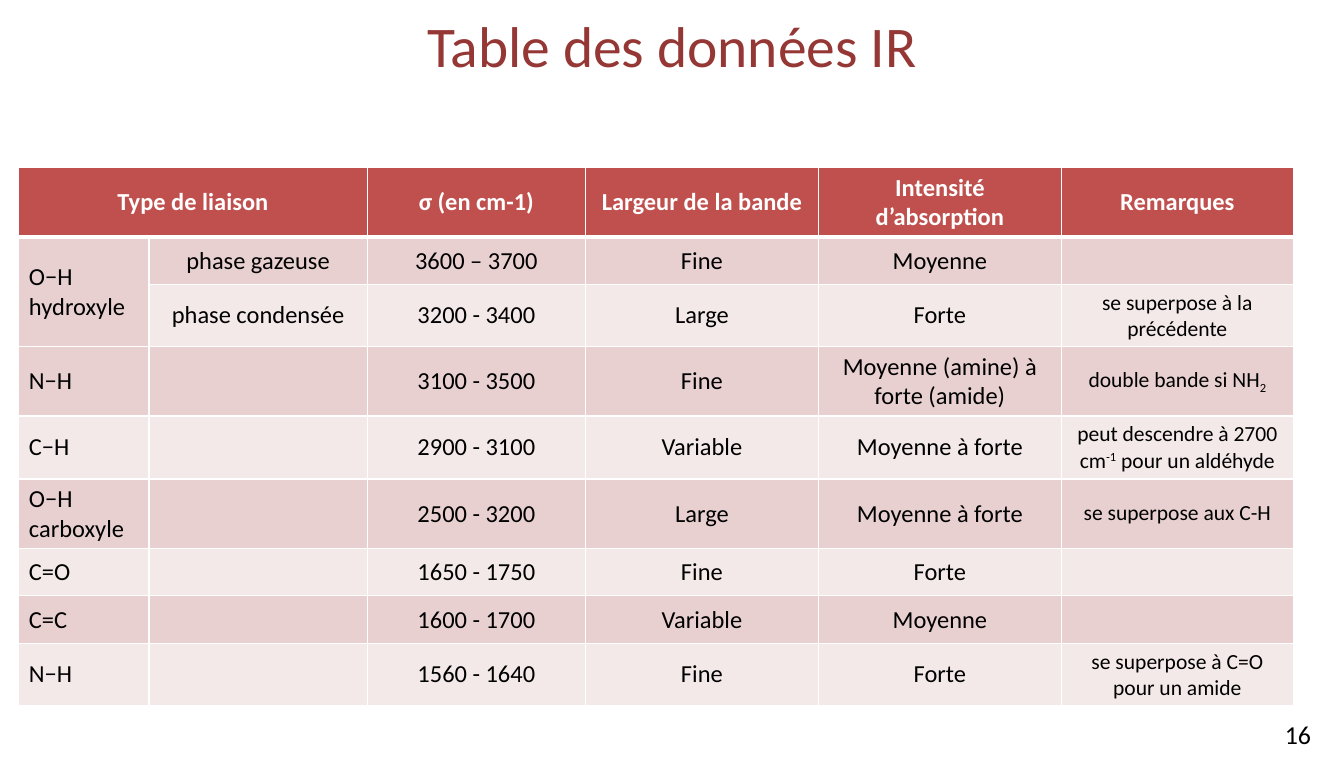
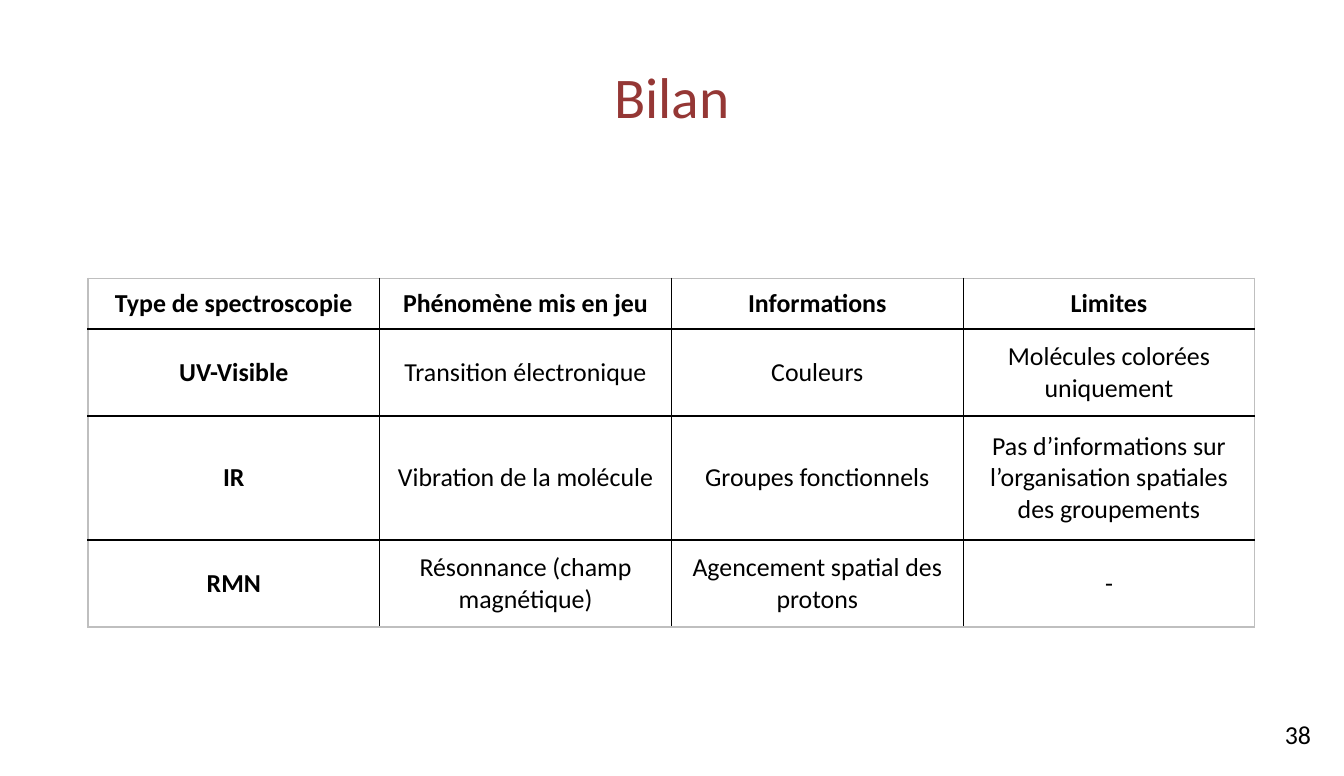
from pptx import Presentation
from pptx import util as u
from pptx.dml.color import RGBColor
from pptx.enum import text
from pptx.oxml.ns import qn
from lxml import etree

WIDTH, HEIGHT = u.Inches(12.99), u.Inches(7.5)
FONT = "Calibri"
TITLE_RED = RGBColor(0x95, 0x37, 0x35)
HEADER_RED = RGBColor(0xC0, 0x50, 0x4D)
BAND_DARK = RGBColor(0xE8, 0xD0, 0xD0)
BAND_LIGHT = RGBColor(0xF4, 0xE9, 0xE9)
WHITE = RGBColor(0xFF, 0xFF, 0xFF)
BLACK = RGBColor(0, 0, 0)
FRAME_GREY = RGBColor(0xBF, 0xBF, 0xBF)
LEFT, CENTER = text.PP_ALIGN.LEFT, text.PP_ALIGN.CENTER
BASELINES = {"_": "-25000", "^": "30000"}


def write(frame, content, size=18, color=BLACK, bold=False, align=CENTER):
    for index, line in enumerate(content.split("\n")):
        paragraph = frame.add_paragraph() if index else frame.paragraphs[0]
        paragraph.alignment = align
        for part in line.split("|"):
            run = paragraph.add_run()
            run.text = part.lstrip("_^")
            run.font.name, run.font.size, run.font.bold = FONT, u.Pt(size), bold
            run.font.color.rgb = color
            if part[:1] in BASELINES:
                run.font._element.set("baseline", BASELINES[part[0]])


def draw_border(cell, side, color, points):
    line = etree.SubElement(cell._tc.get_or_add_tcPr(), qn(f"a:ln{side}"), w=str(u.Pt(points)))
    solid = etree.SubElement(line, qn("a:solidFill"))
    etree.SubElement(solid, qn("a:srgbClr"), val=str(color))


infrared = [
    ["Type de liaison", "", "σ (en cm-1)", "Largeur de la bande", "Intensité d’absorption", "Remarques"],
    ["O−H\nhydroxyle", "phase gazeuse", "3600 – 3700", "Fine", "Moyenne", ""],
    ["", "phase condensée", "3200 - 3400", "Large", "Forte", "se superpose à la précédente"],
    ["N−H", "", "3100 - 3500", "Fine", "Moyenne (amine) à forte (amide)", "double bande si NH|_2"],
    ["C−H", "", "2900 - 3100", "Variable", "Moyenne à forte",
     "peut descendre à 2700 cm|^-1| pour un aldéhyde"],
    ["O−H\ncarboxyle", "", "2500 - 3200", "Large", "Moyenne à forte", "se superpose aux C-H"],
    ["C=O", "", "1650 - 1750", "Fine", "Forte", ""],
    ["C=C", "", "1600 - 1700", "Variable", "Moyenne", ""],
    ["N−H", "", "1560 - 1640", "Fine", "Forte", "se superpose à C=O pour un amide"],
]
summary = [
    ["Type de spectroscopie", "Phénomène mis en jeu", "Informations", "Limites"],
    ["UV-Visible", "Transition électronique", "Couleurs", "Molécules colorées uniquement"],
    ["IR", "Vibration de la molécule", "Groupes fonctionnels",
     "Pas d’informations sur l’organisation spatiales des groupements"],
    ["RMN", "Résonnance (champ magnétique)", "Agencement spatial des protons", "-"],
]

pages = [
    dict(number="16", title="Table des données IR", title_box=(0, -0.03, 12.99, 0.93),
         entries=infrared, corner=(0.18, 1.62), columns=[1.26, 2.11, 2.11, 2.25, 2.35, 2.24],
         rows=[0.67, 0.46, 0.6, 0.67, 0.61, 0.67, 0.46, 0.46, 0.6],
         merges=[(0, 0, 0, 1), (1, 0, 2, 0)], size=17, note_size=15, banded=True,
         label_align=LEFT, header_color=WHITE, inner=WHITE, outer=WHITE, header_rule=3),
    dict(number="38", title="Bilan", title_box=(0.65, 0.3, 11.69, 1.25),
         entries=summary, corner=(0.85, 2.69), columns=[2.82] * 4,
         rows=[0.49, 0.84, 1.2, 0.84],
         merges=[], size=18, note_size=18, banded=False,
         label_align=CENTER, header_color=BLACK, inner=BLACK, outer=FRAME_GREY, header_rule=1.5),
]

deck = Presentation()
deck.slide_width, deck.slide_height = WIDTH, HEIGHT

for page in pages:
    slide = deck.slides.add_slide(deck.slide_layouts[5])

    number = slide.shapes.add_textbox(*map(u.Inches, (12.32, 6.9, 0.5, 0.4))).text_frame
    number.word_wrap = False
    write(number, page["number"], align=LEFT)

    title = slide.shapes.title
    title.left, title.top, title.width, title.height = map(u.Inches, page["title_box"])
    title.text_frame.vertical_anchor = text.MSO_ANCHOR.MIDDLE
    write(title.text_frame, page["title"], size=40, color=TITLE_RED)

    columns, rows = page["columns"], page["rows"]
    table = slide.shapes.add_table(
        len(rows), len(columns),
        *map(u.Inches, (*page["corner"], sum(columns), sum(rows)))).table
    table.first_row = table.horz_banding = False
    for column, width in zip(table.columns, columns):
        column.width = u.Inches(width)
    for row, height in zip(table.rows, rows):
        row.height = u.Inches(height)
    for top, left, bottom, right in page["merges"]:
        table.cell(top, left).merge(table.cell(bottom, right))

    last_row, last_column = len(rows) - 1, len(columns) - 1
    for r, entries in enumerate(page["entries"]):
        for c, entry in enumerate(entries):
            cell = table.cell(r, c)
            cell.vertical_anchor = text.MSO_ANCHOR.MIDDLE
            edges = {"L": c == 0, "R": c == last_column, "T": r == 0, "B": r == last_row}
            for side, outside in edges.items():
                under_header = (r, side) in [(0, "B"), (1, "T")]
                draw_border(cell, side, page["outer"] if outside else page["inner"],
                            page["header_rule"] if under_header else 1)
            if page["banded"]:
                cell.fill.solid()
                cell.fill.fore_color.rgb = HEADER_RED if r == 0 else (BAND_LIGHT, BAND_DARK)[r % 2]
            else:
                cell.fill.background()
            if entry:
                header, label = r == 0, c == 0
                write(cell.text_frame, entry,
                      size=page["note_size"] if c == last_column and not header else page["size"],
                      color=page["header_color"] if header else BLACK,
                      bold=header or (label and not page["banded"]),
                      align=page["label_align"] if label and not header else CENTER)

deck.save("out.pptx")
